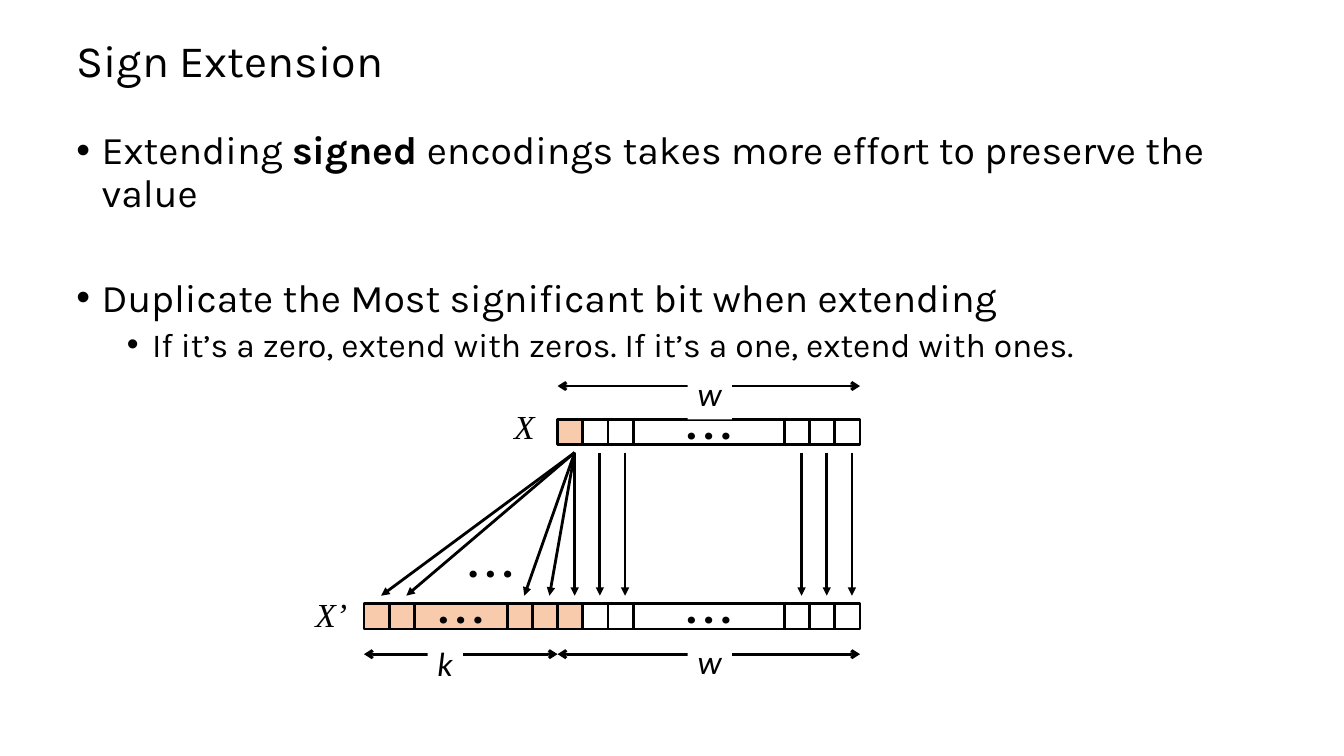
from lxml import etree
from pptx import Presentation
from pptx import util as u
from pptx.dml.color import RGBColor
from pptx.enum import shapes, text
from pptx.oxml.ns import qn

BLACK = RGBColor(0, 0, 0)
WHITE = RGBColor(255, 255, 255)
PEACH = RGBColor(0xF8, 0xCB, 0xAD)
BIT = 0.25
DOTS = "• • •"
SIGNED = [BIT, BIT, 1.5, BIT, BIT, BIT]


def style(run, **attrs):
    font = run.font
    font.color.rgb = BLACK
    for key, value in {"name": "Karla", "size": u.Pt(24), **attrs}.items():
        setattr(font, key, value)


def inch(*nums):
    return [u.Inches(n) for n in nums]


def label(slide, words, box, fill=None, **attrs):
    shape = slide.shapes.add_textbox(*inch(*box))
    if fill is not None:
        shape.fill.solid()
        shape.fill.fore_color.rgb = fill
    frame = shape.text_frame
    frame.word_wrap = False
    frame.auto_size = text.MSO_AUTO_SIZE.SHAPE_TO_FIT_TEXT
    run = frame.paragraphs[0].add_run()
    run.text = words
    style(run, **attrs)


def arrow(slide, start, end, **ends):
    line = slide.shapes.add_connector(
        shapes.MSO_CONNECTOR.STRAIGHT, *inch(*start, *end))
    line.line.color.rgb = BLACK
    line.line.width = u.Pt(2)
    props = line._element.spPr
    for tag, kind in ends.items():
        etree.SubElement(props.find(qn("a:ln")), qn(f"a:{tag}"), type=kind)
    etree.SubElement(props, qn("a:effectLst"))


def cell(slide, box, fill):
    rect = slide.shapes.add_shape(shapes.MSO_SHAPE.RECTANGLE, *inch(*box))
    rect.shadow.inherit = False
    rect.fill.solid()
    rect.fill.fore_color.rgb = fill
    rect.line.color.rgb = BLACK
    rect.line.width = u.Pt(2)
    if box[2] > BIT:
        frame = rect.text_frame
        frame.word_wrap = False
        frame.vertical_anchor = text.MSO_ANCHOR.MIDDLE
        para = frame.paragraphs[0]
        para.alignment = text.PP_ALIGN.CENTER
        run = para.add_run()
        run.text = DOTS
        style(run)


def bar(slide, left, top, widths, fills):
    """Draw a row of bits and return the left edge of each single bit."""
    edges = []
    for width, fill in zip(widths, fills):
        cell(slide, (left, top, width, BIT), fill)
        if width == BIT:
            edges.append(left)
        left += width
    return edges


def span(slide, left, right, y, name, box):
    arrow(slide, (left, y), (right, y), headEnd="arrow", tailEnd="arrow")
    label(slide, name, box, WHITE, name="Calibri", italic=True)


def title(slide, box):
    frame = slide.shapes.add_textbox(*inch(*box)).text_frame
    frame.word_wrap = True
    frame.vertical_anchor = text.MSO_ANCHOR.MIDDLE
    para = frame.paragraphs[0]
    para.line_spacing = 0.9
    run = para.add_run()
    run.text = "Sign Extension"
    style(run, size=u.Pt(32))


def body(slide, box):
    frame = slide.shapes.add_textbox(*inch(*box)).text_frame
    frame.word_wrap = True
    # level, size, space before, runs
    items = [
        (0, 28, 0, ["Extending ", "signed",
                    " encodings takes more effort to preserve the value"]),
        (0, 28, 45, ["Duplicate the Most significant bit when extending"]),
        (1, 24, 5, ["If it’s a zero, extend with zeros. "
                    "If it’s a one, extend with ones."]),
    ]
    for i, (level, size, gap, parts) in enumerate(items):
        para = frame.add_paragraph() if i else frame.paragraphs[0]
        para.level = level
        para.line_spacing = 0.9
        para.space_before = u.Pt(gap)
        props = para._p.get_or_add_pPr()
        props.set("marL", str(u.Inches(0.25 + 0.5 * level)))
        props.set("indent", str(u.Inches(-0.25)))
        etree.SubElement(props, qn("a:buFont"), typeface="Arial")
        etree.SubElement(props, qn("a:buChar"), char="•")
        for part in parts:
            run = para.add_run()
            run.text = part
            style(run, size=u.Pt(size), bold=part == "signed")


def graph(slide, x, y):
    """Place the bit diagram; x, y is the top left of its bounds."""
    mid, end = x + 1.92, x + 4.92
    top, low = y + 0.51, y + 2.34

    # Bit rows
    tints = [PEACH] + [WHITE] * 6
    old = bar(slide, mid, top, [BIT] + [BIT, BIT, 1.5, BIT, BIT, BIT], tints)
    extra = bar(slide, x, low, [BIT, BIT, 0.92, BIT, BIT], [PEACH] * 5)
    bar(slide, mid, low, [BIT] + SIGNED, tints)

    # Row names and dots between the copied bits
    serif = {"name": "Times New Roman", "italic": True}
    label(slide, "X", (x + 1.39, y + 0.33, 0.49, 0.51), **serif)
    label(slide, "X’", (x - 0.58, y + 2.19, 0.52, 0.51), **serif)
    label(slide, DOTS, (x + 0.94, y + 1.76, 0.87, 0.51))

    # The sign bit fans out, the other bits go straight down
    pairs = [(old[0], e) for e in extra] + [(e, e) for e in old]
    for a, b in pairs:
        arrow(slide, (a + 0.17, top + 0.33), (b + 0.17, low - 0.08),
              tailEnd="triangle")

    # Widths
    for row in (y + 0.18, y + 2.84):
        span(slide, mid, end, row, "w", (x + 3.21, row - 0.18, 0.44, 0.51))
    span(slide, x, mid, y + 2.84, "k", (x + 0.63, y + 2.68, 0.35, 0.51))


def main():
    deck = Presentation()
    deck.slide_width, deck.slide_height = inch(13.33, 7.5)
    slide = deck.slides.add_slide(deck.slide_layouts[6])
    title(slide, (0.66, 0.25, 12, 0.75))
    body(slide, (0.66, 1.25, 12.38, 5.5))
    graph(slide, 3.61, 3.65)
    deck.save("out.pptx")


if __name__ == "__main__":
    main()
